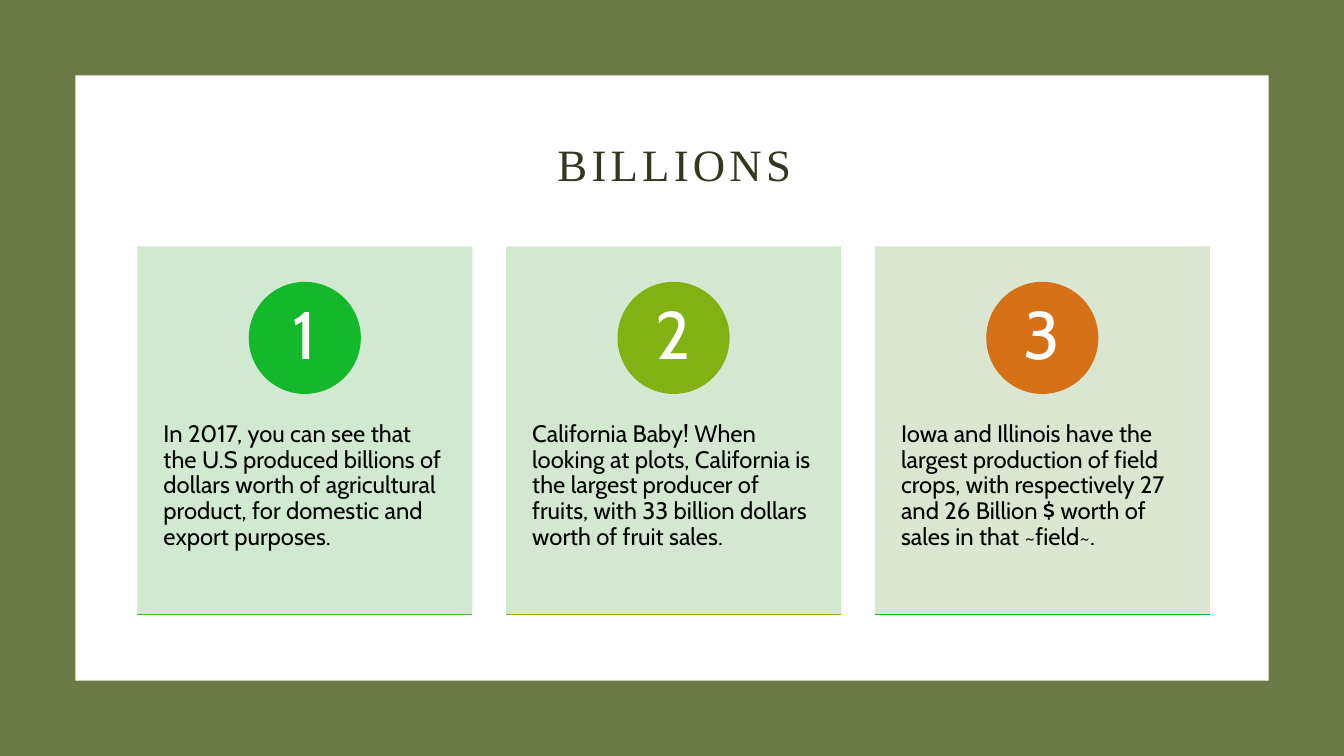
from lxml import etree
from pptx import Presentation
from pptx.dml.color import RGBColor
from pptx.enum.shapes import MSO_CONNECTOR, MSO_SHAPE
from pptx.enum.text import MSO_ANCHOR, PP_ALIGN
from pptx.oxml.ns import qn
from pptx.util import Cm, Pt

RECTANGLE, OVAL = MSO_SHAPE.RECTANGLE, MSO_SHAPE.OVAL
STRAIGHT = MSO_CONNECTOR.STRAIGHT
TOP, MIDDLE = MSO_ANCHOR.TOP, MSO_ANCHOR.MIDDLE
LEFT, CENTER = PP_ALIGN.LEFT, PP_ALIGN.CENTER

TITLE_FONT, BODY_FONT = "Times New Roman", "Cabin"
COLORS = {
    "frame": "6C7B46", "panel": "FFFFFF", "title": "313820",
    "number": "FFFFFF", "body": "000000",
    "mint": "CCE6CD", "pale green": "D0E6CD", "sage": "D8E4CC",
    "green": "14B92B", "lime": "81B113", "orange": "D57017",
    "leaf": "4BB821", "mustard": "B1A11F",
}
# Card colour, circle colour, base line colour, text
FACTS = [
    ("mint", "green", "leaf",
     "In 2017, you can see that the U.S produced billions of dollars worth of "
     "agricultural product, for domestic and export purposes."),
    ("pale green", "lime", "mustard",
     "California Baby! When looking at plots, California is the largest producer "
     "of fruits, with 33 billion dollars worth of fruit sales."),
    ("sage", "orange", "green",
     "Iowa and Illinois have the largest production of field crops, with "
     "respectively 27 and 26 Billion $ worth of sales in that ~field~."),
]


def rgb(name):
    return RGBColor.from_string(COLORS[name])


def add_filled(slide, kind, box, color, opacity=100):
    """Add a plain shape in one colour, see-through if opacity is below 100."""
    shape = slide.shapes.add_shape(kind, *box)
    shape.shadow.inherit = False
    shape.fill.solid()
    shape.fill.fore_color.rgb = rgb(color)
    shape.line.fill.background()
    if opacity < 100:
        tint = shape.fill._xPr.find(qn("a:solidFill"))[0]
        etree.SubElement(tint, qn("a:alpha")).set("val", str(opacity * 1000))
    return shape


def write(frame, text, font, size, color, align, anchor):
    """Put one formatted paragraph in a text frame."""
    frame.word_wrap = True
    frame.vertical_anchor = anchor
    paragraph = frame.paragraphs[0]
    paragraph.text = text
    paragraph.alignment = align
    paragraph.line_spacing = 0.9
    paragraph.font.name = font
    paragraph.font.size = Pt(size)
    paragraph.font.color.rgb = rgb(color)
    return paragraph


def add_frame(slide, width, height):
    """Green border around a white panel."""
    border = Cm(1.9)
    add_filled(slide, RECTANGLE, (0, 0, width, height), "frame")
    add_filled(slide, RECTANGLE,
               (border, border, width - 2 * border, height - 2 * border), "panel")


def add_title(slide, left, top, width, height):
    title = slide.shapes.title
    title.left, title.top, title.width, title.height = left, top, width, height
    heading = write(title.text_frame, "BILLIONS", TITLE_FONT, 32, "title", CENTER, MIDDLE)
    heading.runs[0]._r.get_or_add_rPr().set("spc", "300")


def add_card(slide, left, top, width, height, number, fact):
    """Tinted card with a numbered circle, a text and a coloured base line."""
    card_color, circle_color, base_color, text = fact
    add_filled(slide, RECTANGLE, (left, top, width, height), card_color, 90)

    # Text in the lower part
    text_top = Cm(3.51)
    body = slide.shapes.add_textbox(left, top + text_top, width, Cm(5.56)).text_frame
    body.margin_left = body.margin_right = Cm(0.66)
    body.margin_top = body.margin_bottom = Cm(0.91)
    write(body, text, BODY_FONT, 17, "body", LEFT, TOP)

    # Numbered circle
    size = Cm(2.79)
    circle = add_filled(slide, OVAL,
                        (left + (width - size) // 2, top + Cm(0.91), size, size),
                        circle_color)
    circle.line.color.rgb = rgb(circle_color)
    circle.line.width = Pt(1)
    label = circle.text_frame
    label.margin_left = label.margin_right = 0
    label.margin_top = label.margin_bottom = 0
    write(label, str(number), BODY_FONT, 48, "number", CENTER, MIDDLE)

    # Base line
    bottom = top + height
    base = slide.shapes.add_connector(STRAIGHT, left, bottom, left + width, bottom)
    base.line.color.rgb = rgb(base_color)
    base.line.width = Pt(1)
    etree.SubElement(base._element.spPr, qn("a:effectLst"))


def add_cards(slide, left, top, width, height):
    """Equal cards in a row."""
    gap = Cm(0.85)
    card_width = (width - gap * (len(FACTS) - 1)) // len(FACTS)
    for index, fact in enumerate(FACTS):
        add_card(slide, left + index * (card_width + gap), top,
                 card_width, height, index + 1, fact)


def main():
    deck = Presentation()
    deck.slide_width, deck.slide_height = Cm(33.87), Cm(19.05)
    slide = deck.slides.add_slide(deck.slide_layouts[5])
    add_frame(slide, deck.slide_width, deck.slide_height)
    add_title(slide, Cm(3.81), Cm(2.97), Cm(26.37), Cm(2.49))
    add_cards(slide, Cm(3.46), Cm(6.21), Cm(27.03), Cm(9.27))
    # The title lies in front of the frame
    tree = slide.shapes._spTree
    tree.insert(tree.index(slide.shapes[3]._element), slide.shapes.title._element)
    deck.save("out.pptx")


if __name__ == "__main__":
    main()
